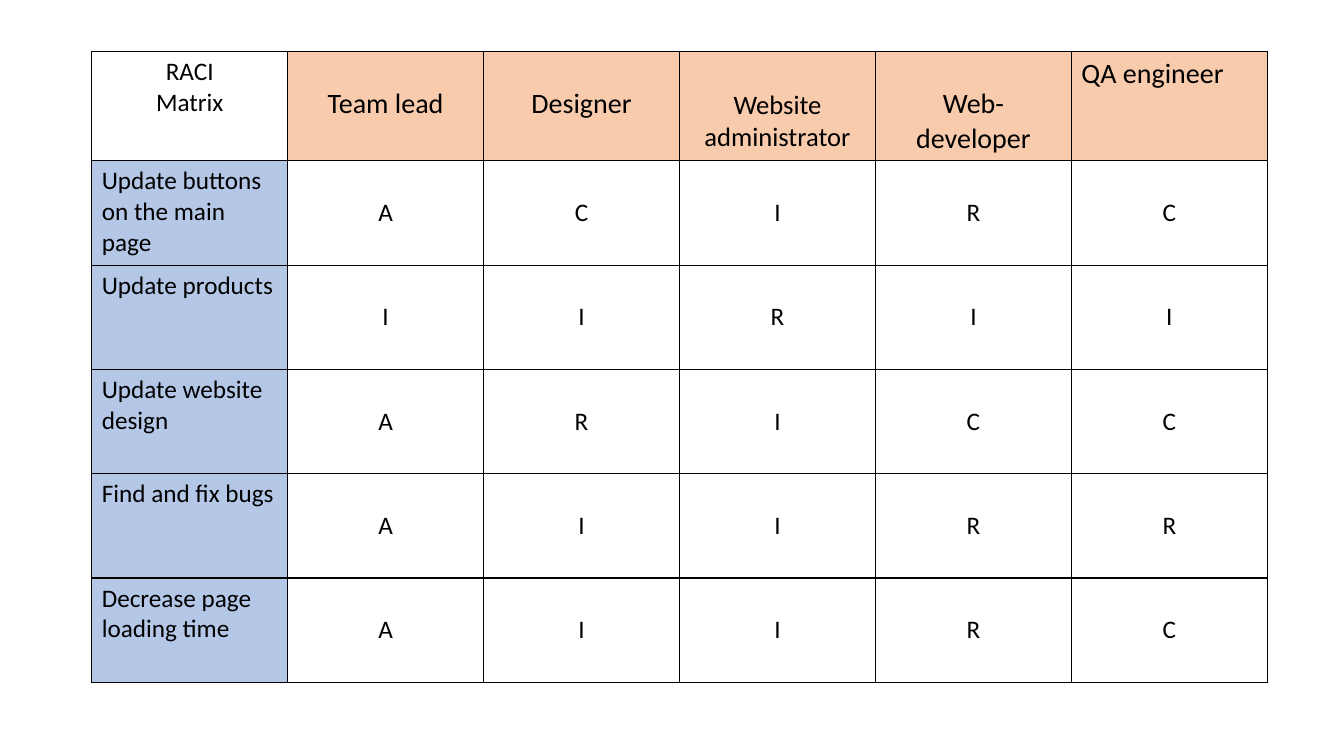
from dataclasses import dataclass

from lxml import etree
from pptx import Presentation
from pptx import util as u
from pptx.dml.color import RGBColor
from pptx.enum import text
from pptx.oxml.ns import qn


@dataclass(frozen=True)
class Theme:
    font: str = "Calibri"
    ink: str = "000000"
    paper: str = "FFFFFF"
    role_fill: str = "F8CBAD"
    task_fill: str = "B4C7E7"
    body_size: int = 18
    compact_size: int = 19
    role_size: int = 20
    border: float = 1
    margin: float = 0.05
    line_height: float = 1.22


ALIGN = text.PP_ALIGN
ANCHOR = text.MSO_ANCHOR
ROLES = ["Team lead", "Designer", "Website administrator", "Web-developer", "QA engineer"]
TASKS = {
    "Update buttons on the main page": "ACIRC",
    "Update products": "IIRII",
    "Update website design": "ARICC",
    "Find and fix bugs": "AIIRR",
    "Decrease page loading time": "AIIRC",
}


def assign(target, values):
    for name, value in values.items():
        setattr(target, name, value)


class SlideBuilder:
    def __init__(self, presentation, theme):
        self.presentation = presentation
        self.theme = theme
        self.slide = presentation.slides.add_slide(presentation.slide_layouts[6])

    def table(self, left, top, width, row_heights, column_count):
        slide_width = self.presentation.slide_width
        slide_height = self.presentation.slide_height
        heights = [round(share * slide_height) for share in row_heights]
        table = self.slide.shapes.add_table(
            len(heights), column_count,
            round(left * slide_width), round(top * slide_height),
            round(width * slide_width), sum(heights),
        ).table
        assign(table, {"first_row": False, "horz_banding": False})
        for row, height in zip(table.rows, heights):
            row.height = height
        return table

    def cell(self, cell, lines, fill, size, align=ALIGN.CENTER, anchor=ANCHOR.TOP, skipped_line=0):
        offset = skipped_line * self.theme.line_height / 72
        assign(cell, {
            "vertical_anchor": anchor,
            "margin_top": u.Inches(self.theme.margin + offset),
        })
        self.borders(cell)
        cell.fill.solid()
        cell.fill.fore_color.rgb = RGBColor.from_string(fill)
        cell.text_frame.text = "\n".join(lines)
        for paragraph in cell.text_frame.paragraphs:
            paragraph.alignment = align
            for run in paragraph.runs:
                assign(run.font, {"name": self.theme.font, "size": u.Pt(size), "bold": False})
                run.font.color.rgb = RGBColor.from_string(self.theme.ink)

    def borders(self, cell):
        properties = cell._tc.get_or_add_tcPr()
        for side in ("a:lnL", "a:lnR", "a:lnT", "a:lnB"):
            line = etree.SubElement(properties, qn(side), w=str(u.Pt(self.theme.border)))
            solid = etree.SubElement(line, qn("a:solidFill"))
            etree.SubElement(solid, qn("a:srgbClr"), val=self.theme.ink)


def main():
    presentation = Presentation()
    assign(presentation, {"slide_width": u.Inches(13.33), "slide_height": u.Inches(7.5)})
    theme = Theme()
    builder = SlideBuilder(presentation, theme)

    header_height, task_height = 1.07 / 7.5, 1.035 / 7.5
    table = builder.table(
        0.91 / 13.33, 0.51 / 7.5, 11.66 / 13.33,
        [header_height] + [task_height] * len(TASKS), len(ROLES) + 1,
    )

    builder.cell(table.cell(0, 0), ["RACI", "Matrix"], theme.paper, theme.body_size)
    special_roles = {
        "Website administrator": {"size": theme.compact_size, "skipped_line": theme.compact_size},
        "QA engineer": {"align": ALIGN.JUSTIFY, "skipped_line": 0},
    }
    for column, role in enumerate(ROLES, 1):
        style = {"size": theme.role_size, "skipped_line": theme.body_size}
        style.update(special_roles.get(role, {}))
        builder.cell(table.cell(0, column), [role], theme.role_fill, **style)

    for row, (task, duties) in enumerate(TASKS.items(), 1):
        builder.cell(table.cell(row, 0), [task], theme.task_fill, theme.body_size, ALIGN.LEFT)
        for column, duty in enumerate(duties, 1):
            builder.cell(table.cell(row, column), [duty], theme.paper, theme.body_size,
                         anchor=ANCHOR.MIDDLE)

    presentation.save("out.pptx")


if __name__ == "__main__":
    main()
